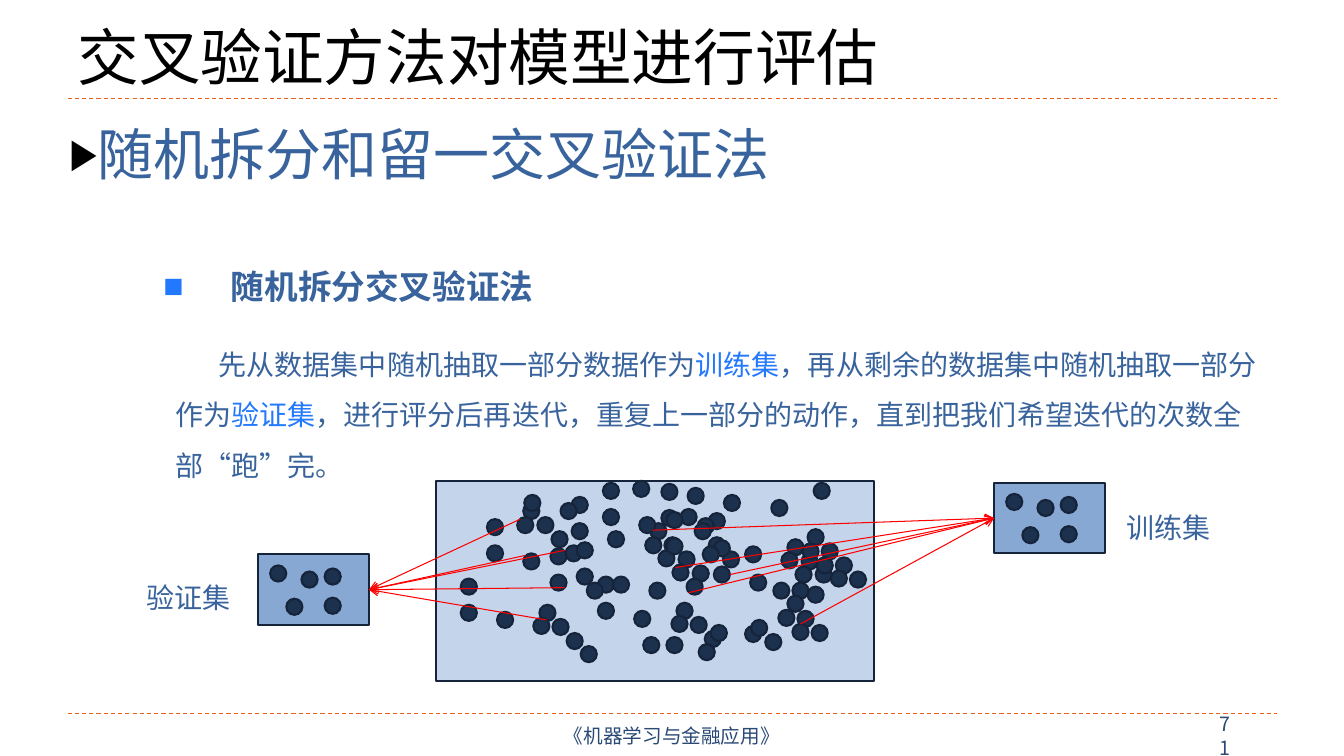
"""Builds a slide on random-split and leave-one-out cross-validation."""
from lxml.etree import SubElement
from pptx import Presentation
from pptx.dml.color import RGBColor
from pptx.enum.dml import MSO_LINE
from pptx.enum.shapes import MSO_CONNECTOR, MSO_SHAPE
from pptx.enum.text import MSO_ANCHOR, PP_ALIGN
from pptx.oxml.ns import qn
from pptx.util import Inches, Pt

CELL = Inches(0.01)
COLUMNS, ROWS = 1333, 750
DOT = 16
SAMPLE_WIDTH, SAMPLE_HEIGHT = 110, 70
SANS = "Noto Sans CJK SC"

BLACK = RGBColor(0x00, 0x00, 0x00)
TEXT_BLUE = RGBColor(0x38, 0x63, 0x9C)
ACCENT_BLUE = RGBColor(0x22, 0x79, 0xFE)
FOOTER_BLUE = RGBColor(0x2A, 0x4A, 0x75)
POOL_FILL = RGBColor(0xC4, 0xD4, 0xEA)
SAMPLE_FILL = RGBColor(0x88, 0xA8, 0xD4)
DOT_FILL = RGBColor(0x1C, 0x31, 0x4E)
OUTLINE = RGBColor(0x15, 0x24, 0x3A)
ORANGE = RGBColor(0xEB, 0x64, 0x1B)
RED = RGBColor(0xFF, 0x00, 0x00)

presentation = Presentation()
presentation.slide_width = COLUMNS * CELL
presentation.slide_height = ROWS * CELL
slide = presentation.slides.add_slide(presentation.slide_layouts[6])


def add_text(box, runs, size, color=TEXT_BLUE, font=SANS, bold=False, align=PP_ALIGN.LEFT,
             anchor=MSO_ANCHOR.TOP, inset=(10, 5), spacing=None, before=0,
             margin=0, indent=0, bullet=None):
    """Adds a one-paragraph text box; runs are (text, colour) pairs or a string."""
    frame = slide.shapes.add_textbox(*(value * CELL for value in box)).text_frame
    frame.word_wrap = True
    frame.vertical_anchor = anchor
    frame.margin_left = frame.margin_right = inset[0] * CELL
    frame.margin_top = frame.margin_bottom = inset[1] * CELL
    paragraph = frame.paragraphs[0]
    paragraph.alignment = align
    paragraph.space_before = Pt(before)
    if spacing:
        paragraph.line_spacing = spacing
    properties = paragraph._p.get_or_add_pPr()
    properties.set("marL", str(margin * CELL))
    properties.set("indent", str(indent * CELL))
    if bullet:
        character, bullet_color, percent = bullet
        SubElement(SubElement(properties, qn("a:buClr")), qn("a:srgbClr"), val=str(bullet_color))
        SubElement(properties, qn("a:buSzPct"), val=str(percent * 1000))
        SubElement(properties, qn("a:buFont"), typeface="Arial")
        SubElement(properties, qn("a:buChar"), char=character)
    for text, run_color in [(runs, color)] if isinstance(runs, str) else runs:
        run = paragraph.add_run()
        run.text = text
        run.font.size = Pt(size)
        run.font.bold = bold
        run.font.name = font
        run.font.color.rgb = run_color
        SubElement(run._r.get_or_add_rPr(), qn("a:ea"), typeface=SANS)


def add_figure(kind, left, top, width, height, fill):
    """Adds an outlined shape without shadow."""
    shape = slide.shapes.add_shape(kind, left * CELL, top * CELL, width * CELL, height * CELL)
    shape.shadow.inherit = False
    shape.fill.solid()
    shape.fill.fore_color.rgb = fill
    shape.line.color.rgb = OUTLINE
    shape.line.width = Pt(1.5)
    return shape


add_text((67, 17, 1200, 80), "交叉验证方法对模型进行评估", 44, color=BLACK, font="Arial",
         anchor=MSO_ANCHOR.BOTTOM)
add_text((59, 114, 1164, 94), "随机拆分和留一交叉验证法", 40, font="Times New Roman",
         before=3.4, margin=17, indent=-17, bullet=("▶", BLACK, 76))
add_text((149, 238, 919, 85), "随机拆分交叉验证法", 24, bold=True, inset=(13, 6), spacing=1.5,
         before=4.8, margin=67, indent=-67, bullet=("■", ACCENT_BLUE, 100))
explanation = [
    ("先从数据集中随机抽取一部分数据作为", TEXT_BLUE),
    ("训练集", ACCENT_BLUE),
    ("，再从剩余的数据集中随机抽取一部分作为", TEXT_BLUE),
    ("验证集", ACCENT_BLUE),
    ("，进行评分后再迭代，重复上一部分的动作，直到把我们希望迭代的次数全部“跑”完。", TEXT_BLUE),
]
add_text((161, 322, 1104, 169), explanation, 20, inset=(13, 6), spacing=1.5, before=4, indent=43)
add_text((450, 710, 433, 40), "《机器学习与金融应用》", 14, color=FOOTER_BLUE,
         align=PP_ALIGN.CENTER, anchor=MSO_ANCHOR.MIDDLE, inset=(0, 0))
add_text((1200, 713, 41, 34), "71", 14, color=FOOTER_BLUE, anchor=MSO_ANCHOR.MIDDLE)

pool_dots = [
    (519, 499), (483, 515), (483, 541), (519, 549), (533, 513), (547, 527), (561, 541),
    (645, 519), (567, 493), (567, 519), (603, 527), (659, 533), (673, 547), (687, 561),
    (535, 600), (457, 574), (457, 600), (493, 607), (548, 614), (562, 628), (576, 641),
    (671, 598), (593, 572), (593, 598), (629, 606), (685, 612), (699, 626), (739, 621),
    (781, 535), (703, 509), (703, 535), (739, 542), (795, 549), (809, 562), (786, 578),
    (513, 513), (640, 533), (520, 491), (556, 499), (653, 546), (667, 560), (681, 574),
    (529, 613), (666, 611), (546, 544), (546, 570), (582, 578), (638, 632), (693, 639),
    (775, 548), (656, 480), (656, 506), (692, 514), (789, 562), (767, 578), (781, 591),
    (675, 505), (598, 479), (598, 505), (634, 513), (689, 519), (703, 533), (717, 547),
    (801, 525), (682, 484), (718, 491), (815, 539), (829, 553), (843, 567), (661, 632),
    (572, 538), (572, 564), (608, 572), (705, 620), (745, 615), (759, 629), (791, 606),
    (708, 536), (708, 562), (744, 570), (805, 620), (628, 477), (796, 539), (810, 553),
    (824, 566), (801, 582), (644, 578), (772, 605), (661, 508), (661, 534), (697, 542),
    (786, 619), (765, 496), (807, 479),
]
add_figure(MSO_SHAPE.RECTANGLE, 432, 477, 435, 199, POOL_FILL)
for left, top in pool_dots:
    add_figure(MSO_SHAPE.OVAL, left, top, DOT, DOT, DOT_FILL)

sample_dots = [(12, 11), (66, 14), (28, 44), (66, 43), (43, 17)]
training_starts = [(647, 526), (670, 563), (794, 619), (683, 588), (724, 570)]
validation_starts = [(560, 583), (542, 615), (521, 551), (560, 546), (516, 515)]
samples = [
    ("训练集", 986, 479, (1104, 484), 1, training_starts),
    ("验证集", 256, 550, (132, 553), 3, validation_starts),
]
lines = [((67, row), (1267, row), None, None) for row in (98, 708)]
for label, left, top, label_corner, side, starts in samples:
    sample = add_figure(MSO_SHAPE.RECTANGLE, left, top, SAMPLE_WIDTH, SAMPLE_HEIGHT, SAMPLE_FILL)
    for column, row in sample_dots:
        add_figure(MSO_SHAPE.OVAL, left + column, top + row, DOT, DOT, DOT_FILL)
    add_text((*label_corner, 123, 63), label, 20, inset=(13, 6), spacing=1.5, before=4)
    lines += [(start, (left, top), sample, side) for start in starts]

for start, end, sample, side in lines:
    connector = slide.shapes.add_connector(
        MSO_CONNECTOR.STRAIGHT, *(value * CELL for value in (*start, *end)))
    connector.line.width = Pt(0.75)
    connector.line.color.rgb = RED if sample else ORANGE
    if sample:
        connector.end_connect(sample, side)
        SubElement(connector.line._get_or_add_ln(), qn("a:tailEnd"), type="arrow")
    else:
        connector.line.dash_style = MSO_LINE.DASH
    SubElement(connector._element.spPr, qn("a:effectLst"))

presentation.save("out.pptx")
